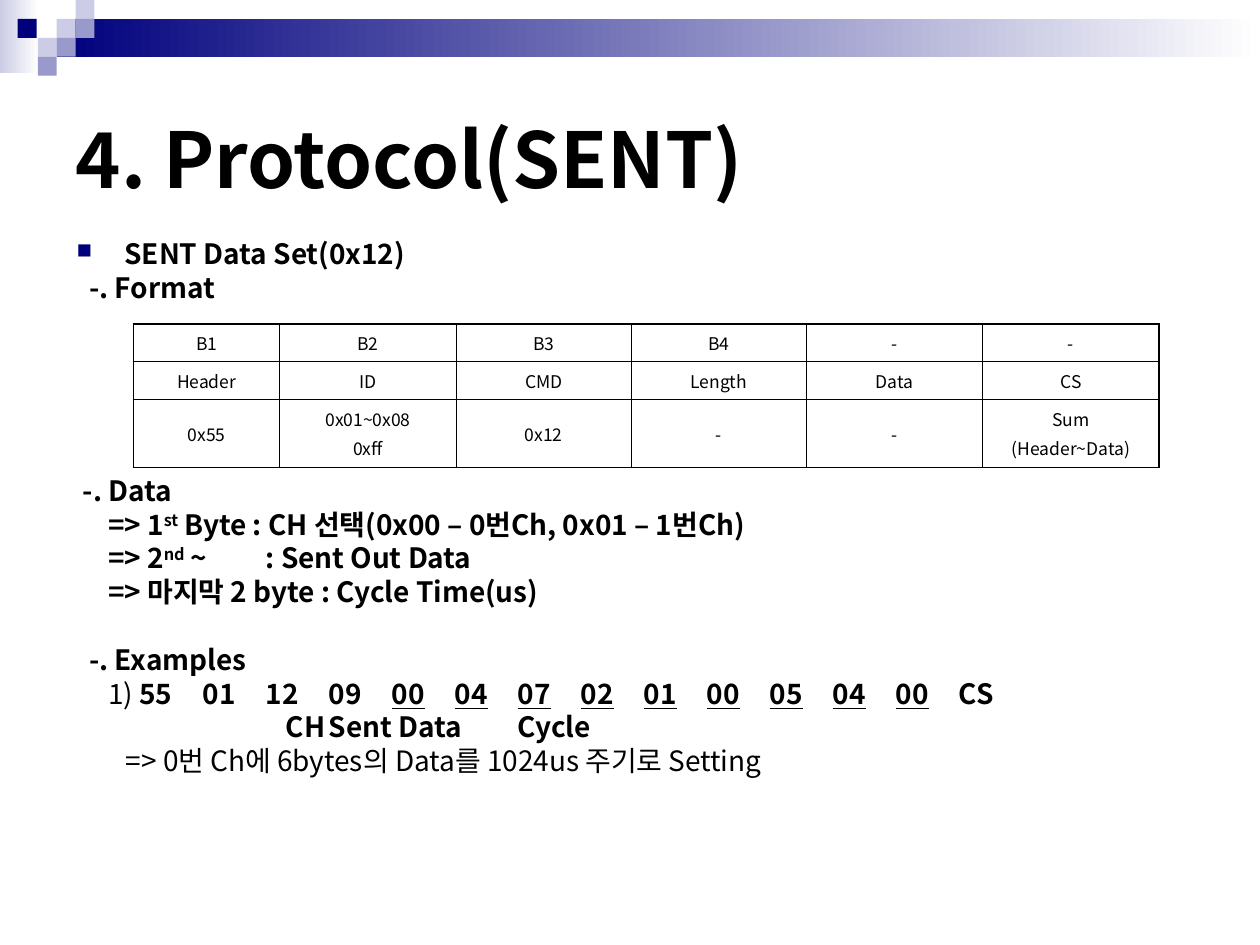
from lxml import etree
from pptx import Presentation
from pptx.dml.color import RGBColor
from pptx.enum import shapes, text
from pptx.oxml import ns
from pptx.util import Inches, Pt

FONT = "Noto Sans CJK KR"
COLORS = {"text": "000000", "navy": "00007D", "violet": "9999CC",
          "pale": "CCCCE6", "white": "FFFFFF"}
LINE = 19.3  # line pitch of the body, in points


def add_xml(parent, tag, **attrs):
    return etree.SubElement(parent, ns.qn(tag), attrs)


def set_font(p, size, bold=False):
    """Give a paragraph its Latin and East Asian font, size and colour."""
    p.font.name, p.font.size, p.font.bold = FONT, Pt(size), bold
    p.font.color.rgb = RGBColor.from_string(COLORS["text"])
    add_xml(p.font._element, "a:ea", typeface=FONT)


prs = Presentation()
prs.slide_width, prs.slide_height = Inches(10), Inches(7.5)
s = prs.slides.add_slide(prs.slide_layouts[5])

# Header bands and mosaic squares: left, top, width, height, colour, fades to white
decor = [(0, 0, 0.31, 0.58, "pale", True), (0.45, 0.15, 9.55, 0.3, "navy", True)]
for x, y, color in [(0.45, 0.15, "pale"), (0.6, 0, "pale"), (0.6, 0.15, "violet"),
                    (0.3, 0.3, "pale"), (0.14, 0.15, "navy"),
                    (0.45, 0.3, "violet"), (0.3, 0.45, "violet")]:
    decor.append((x, y, 0.15, 0.15, color, False))
for x, y, w, h, color, fades in decor:
    sp = s.shapes.add_shape(shapes.MSO_SHAPE.RECTANGLE,
                            Inches(x), Inches(y), Inches(w), Inches(h))
    sp.shadow.inherit = False
    sp.line.fill.background()
    if fades:
        sp.fill.gradient()
        sp.fill.gradient_angle = 0
        for stop, name in zip(sp.fill.gradient_stops, (color, "white")):
            stop.color.rgb = RGBColor.from_string(COLORS[name])
    else:
        sp.fill.solid()
        sp.fill.fore_color.rgb = RGBColor.from_string(COLORS[color])

# Title
title = s.shapes.title
title.left, title.top, title.width, title.height = map(Inches, (0.5, 0.5, 9, 1.5))
tf = title.text_frame
tf.text = "4. Protocol(SENT)"
tf.vertical_anchor = text.MSO_ANCHOR.MIDDLE
tf.paragraphs[0].alignment = text.PP_ALIGN.LEFT
set_font(tf.paragraphs[0], 44, True)

# Body: first-line indent, lines left free above, bold, tab stops, runs with a style
body = [
    (0.38, 0, True, [], [("SENT Data Set(0x12)", "")]),
    (0.1, 0, True, [], [("-. Format", "")]),
    (0.05, 5, True, [], [("-. Data", "")]),
    (0.25, 0, True, [], [("=> 1", ""), ("st", "super"),
                         (" Byte : CH 선택(0x00 – 0번Ch, 0x01 – 1번Ch)", "")]),
    (0.25, 0, True, [1.25], [("=> 2", ""), ("nd", "super"),
                             (" ~\t: Sent Out Data", "")]),
    (0.25, 0, True, [], [("=> 마지막 2 byte : Cycle Time(us)", "")]),
    (0.1, 1, True, [], [("-. Examples", "")]),
    (0.25, 0, True,
     [0.86, 1.22, 1.58, 2.09, 2.66, 3.02, 3.38, 3.69, 4.06, 4.42, 4.93, 5.29, 5.76],
     [("1) ", "light"), ("55\t01\t12\t09\t", ""), ("00", "under"), ("\t", ""),
      ("04\t07\t02\t01\t00\t05", "under"), ("\t", ""),
      ("04\t00", "under"), ("\tCS", "")]),
    (1.66, 0, True, [2.52, 4.38], [("CH\tSent Data\tCycle", "")]),
    (0.39, 0, False, [], [("=> 0번 Ch에 6bytes의 Data를 1024us 주기로 Setting", "")]),
]
tf = s.shapes.add_textbox(Inches(0.51), Inches(1.83),
                          Inches(8.82), Inches(5.35)).text_frame
tf.word_wrap = True
for i, (indent, free_lines, bold, tabs, runs) in enumerate(body):
    p = tf.paragraphs[0] if i == 0 else tf.add_paragraph()
    p.line_spacing, p.space_before = Pt(LINE), Pt(free_lines * LINE)
    pPr = p._p.get_or_add_pPr()
    if i == 0:
        pPr.set("marL", str(Inches(indent)))
        pPr.set("indent", str(-Inches(indent)))
        add_xml(add_xml(pPr, "a:buClr"), "a:srgbClr", val=COLORS["navy"])
        add_xml(pPr, "a:buSzPct", val="75000")
        add_xml(pPr, "a:buChar", char="■")
    else:
        pPr.set("marL", "0")
        pPr.set("indent", str(Inches(indent)))
    if tabs:
        tab_list = add_xml(pPr, "a:tabLst")
        for pos in tabs:
            add_xml(tab_list, "a:tab", pos=str(Inches(pos)), algn="l")
    set_font(p, 16, bold)
    for words, style in runs:
        r = p.add_run()
        r.text = words
        if style == "super":
            r.font._element.set("baseline", "30000")
        elif style == "under":
            r.font.underline = True
        elif style == "light":
            r.font.bold = False

# Frame format table
rows = [["B1", "B2", "B3", "B4", "-", "-"],
        ["Header", "ID", "CMD", "Length", "Data", "CS"],
        ["0x55", "0x01~0x08\n0xff", "0x12", "-", "-", "Sum\n(Header~Data)"]]
col_widths = [1.16, 1.4, 1.39, 1.39, 1.4, 1.4]
row_heights = [0.3, 0.3, 0.54]
table = s.shapes.add_table(len(rows), len(col_widths), Inches(1.06), Inches(2.57),
                           Inches(sum(col_widths)), Inches(sum(row_heights))).table
for col, w in zip(table.columns, col_widths):
    col.width = Inches(w)
for row, h in zip(table.rows, row_heights):
    row.height = Inches(h)
for i, row in enumerate(rows):
    for j, words in enumerate(row):
        cell = table.cell(i, j)
        cell.text = words
        cell.vertical_anchor = text.MSO_ANCHOR.MIDDLE
        for p in cell.text_frame.paragraphs:
            p.alignment = text.PP_ALIGN.CENTER
            p.space_before = Pt(2.5)
            set_font(p, 10)
        tcPr = cell._tc.get_or_add_tcPr()
        outer = {"L": j == 0, "R": j == len(row) - 1,
                 "T": i == 0, "B": i == len(rows) - 1}
        for side, is_outer in outer.items():
            ln = add_xml(tcPr, f"a:ln{side}", w=str(Pt(1.08 if is_outer else 0.45)))
            add_xml(add_xml(ln, "a:solidFill"), "a:srgbClr", val=COLORS["text"])
        cell.fill.background()

prs.save("out.pptx")
